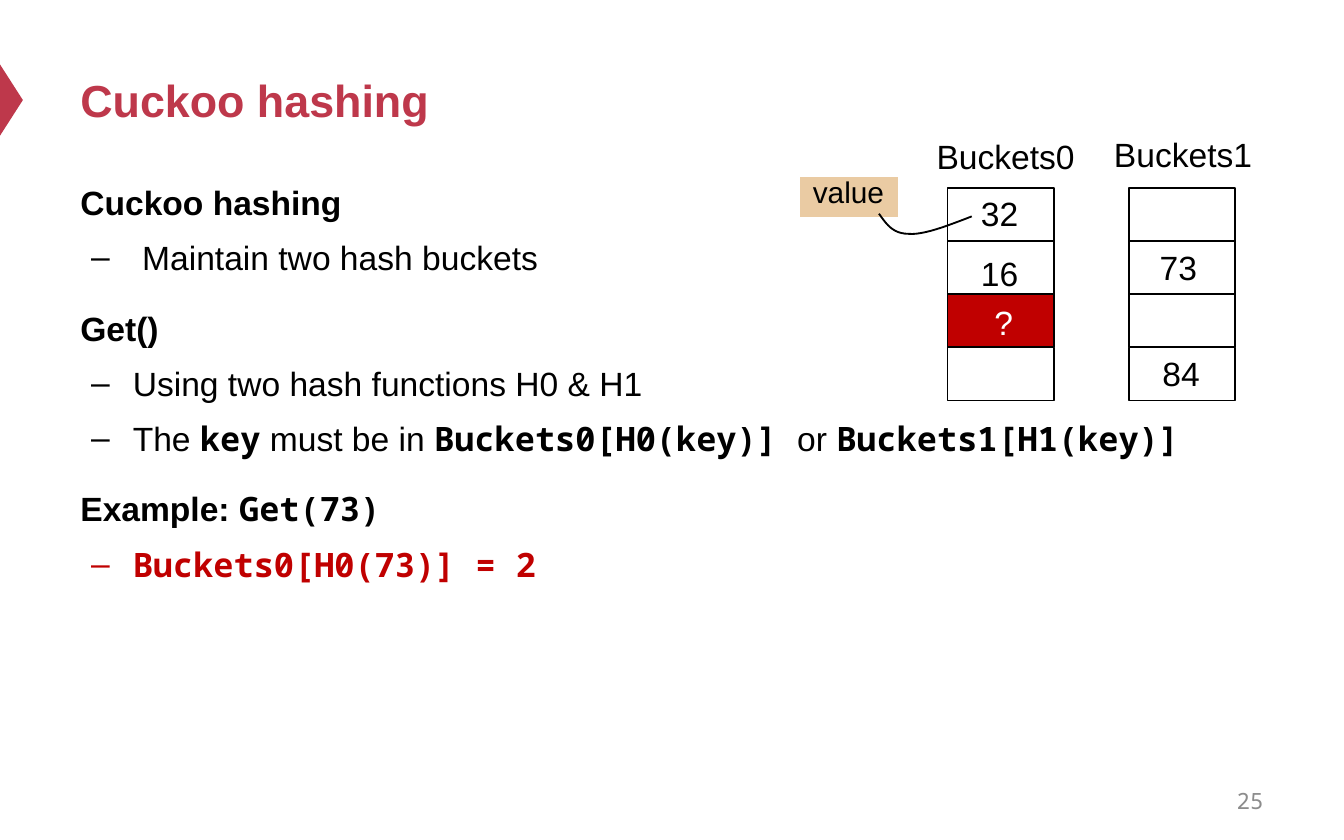
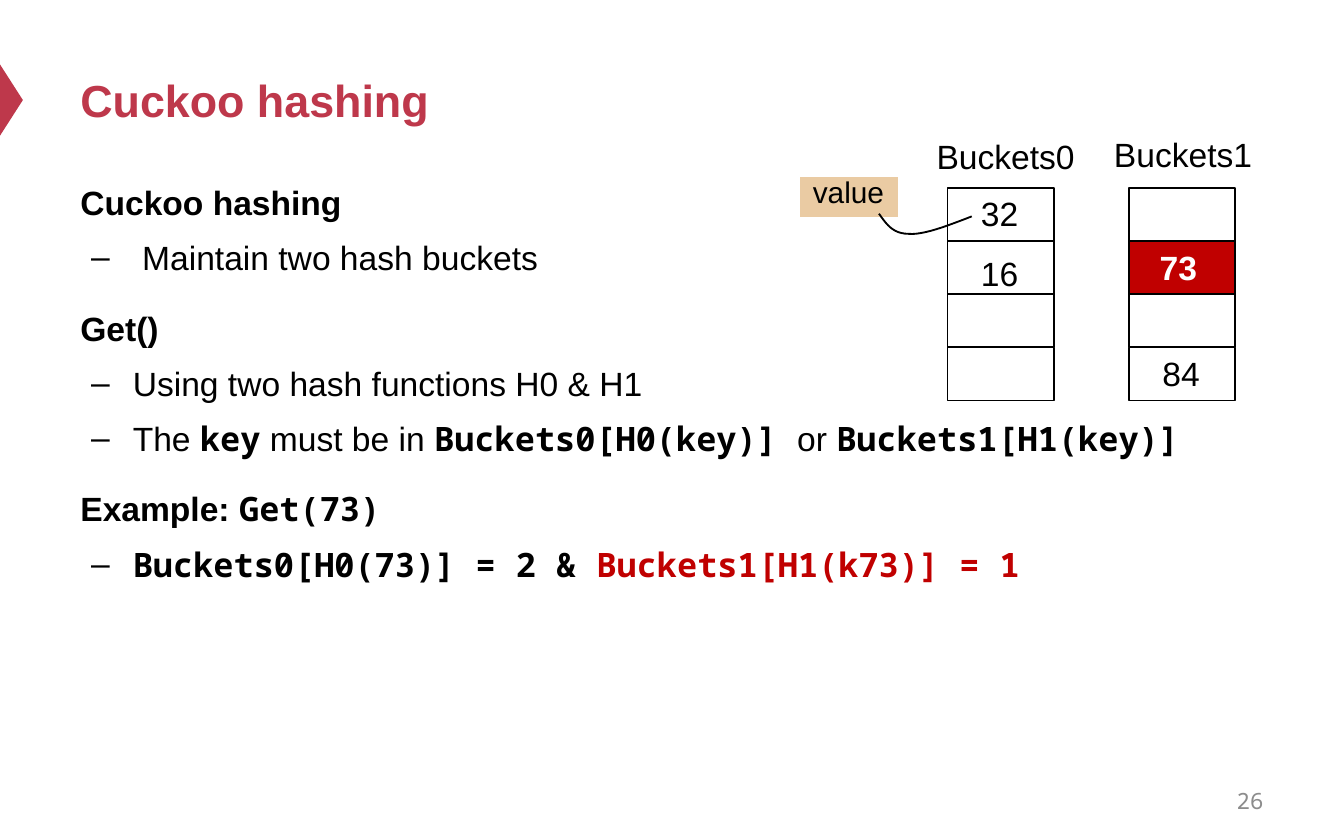
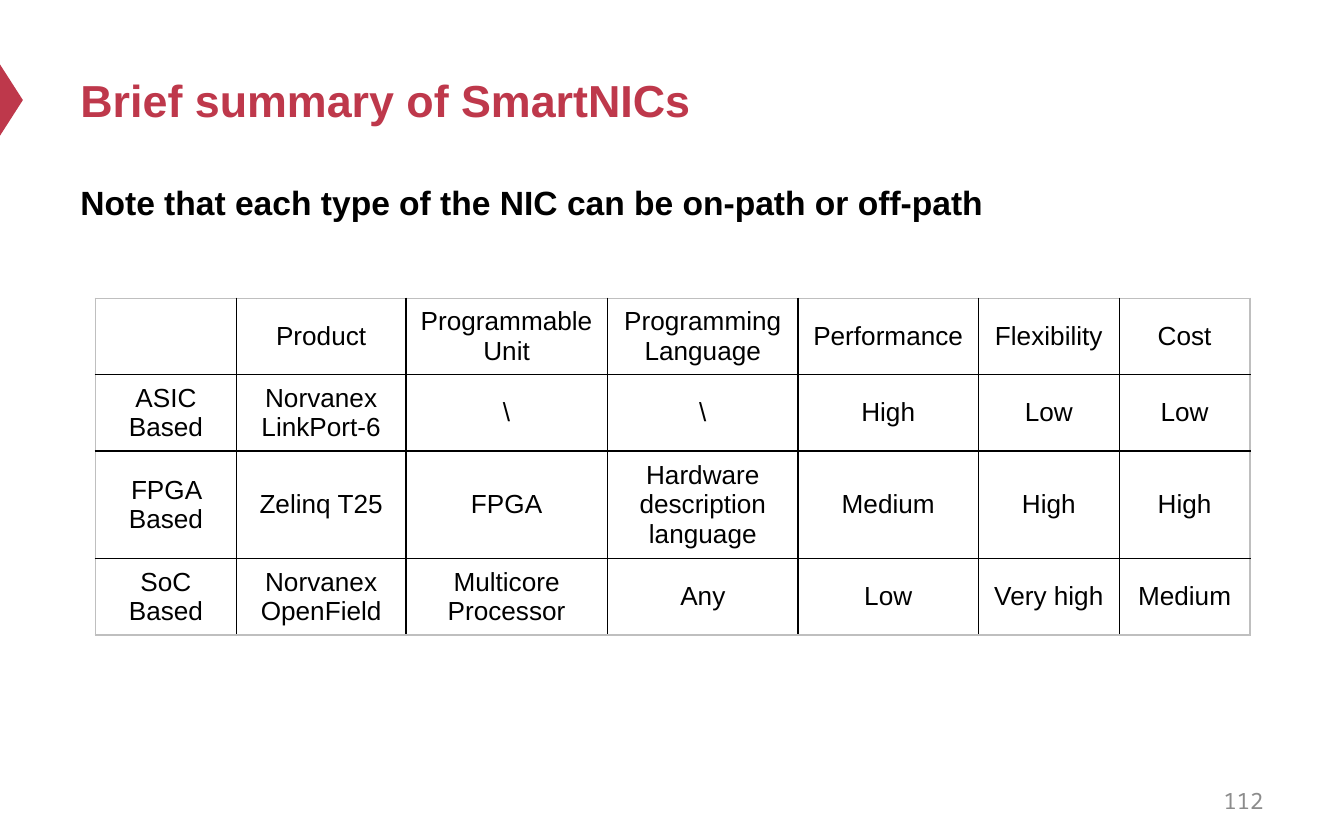
from lxml import etree
from pptx import Presentation
from pptx.dml.color import RGBColor
from pptx.enum import shapes, text
from pptx.oxml import ns
from pptx import util as u

COLORS = {
    "accent": "BE384B", "ink": "000000", "hot": "C00000", "paper": "FFFFFF",
    "tag": "EACBA3", "number": "8C8C8C", "edge": "BFBFBF",
}
SANS, MONO = "Arial", "Noto Sans Mono"
STYLES = {  # typeface, bold, colour
    "plain": (SANS, False, "ink"),
    "bold": (SANS, True, "ink"),
    "code": (MONO, True, "ink"),
    "hot": (MONO, True, "hot"),
    "title": (SANS, True, "accent"),
    "number": (MONO, False, "number"),
    "light": (SANS, False, "paper"),
    "light bold": (SANS, True, "paper"),
}


def set_font(font, style, size):
    name, bold, color = STYLES[style]
    font.name, font.bold, font.size = name, bold, u.Pt(size)
    font.color.rgb = RGBColor.from_string(COLORS[color])


def add_label(page, at, words, style="plain", size=18, wrap=False,
              align=text.PP_ALIGN.LEFT, anchor=text.MSO_ANCHOR.TOP):
    box = page.shapes.add_textbox(*map(u.Inches, at))
    box.text_frame.word_wrap = wrap
    box.text_frame.vertical_anchor = anchor
    para = box.text_frame.paragraphs[0]
    para.text = words
    para.alignment = align
    set_font(para.font, style, size)


# Slide contents: body lines are (level, spans)
hashing_lines = [
    (0, [("Cuckoo hashing", "bold")]),
    (1, [(" Maintain two hash buckets", "plain")]),
    (0, [("Get()", "bold")]),
    (1, [("Using two hash functions H0 & H1", "plain")]),
    (1, [("The ", "plain"), ("key", "code"), (" must be in ", "plain"),
         ("Buckets0[H0(key)] ", "code"), ("or ", "plain"), ("Buckets1[H1(key)]", "code")]),
    (0, [("Example: ", "bold"), ("Get(73)", "code")]),
]
first_lookup = (1, [("Buckets0[H0(73)] = 2", "hot")])
second_lookup = (1, [("Buckets0[H0(73)] = 2 & ", "code"), ("Buckets1[H1(k73)] = 1", "hot")])
nic_lines = [(0, [("Note that each type of the NIC can be on-path or off-path", "bold")])]

# title, page number, body height, body lines, highlighted (bucket, row)
slides = [
    ("Cuckoo hashing", "25", 4.12, hashing_lines + [first_lookup], (0, 2)),
    ("Cuckoo hashing", "26", 4.12, hashing_lines + [second_lookup], (1, 1)),
    ("Brief summary of SmartNICs", "112", 0.71, nic_lines, None),
]

deck = Presentation()
deck.slide_width, deck.slide_height = u.Inches(10), u.Inches(6.25)

for title, number, body_height, lines, highlight in slides:
    page = deck.slides.add_slide(deck.slide_layouts[6])

    # Marker, title and page number
    marker = page.shapes.add_shape(
        shapes.MSO_SHAPE.ISOSCELES_TRIANGLE, *map(u.Inches, (-0.18, 0.66, 0.53, 0.17)))
    marker.rotation = 90
    marker.shadow.inherit = False
    marker.fill.solid()
    marker.fill.fore_color.rgb = RGBColor.from_string(COLORS["accent"])
    marker.line.fill.background()
    add_label(page, (0.5, 0.25, 9, 0.98), title, "title", 24, True,
              anchor=text.MSO_ANCHOR.MIDDLE)
    add_label(page, (7.17, 5.79, 2.33, 0.33), number, "number", 12, True,
              text.PP_ALIGN.RIGHT, text.MSO_ANCHOR.MIDDLE)

    # Body text
    body = page.shapes.add_textbox(*map(u.Inches, (0.5, 1.24, 9, body_height)))
    frame = body.text_frame
    frame.word_wrap = True
    for index, (level, spans) in enumerate(lines):
        para = frame.add_paragraph() if index else frame.paragraphs[0]
        para.line_spacing = u.Pt(26)
        if index:
            para.space_before = u.Pt(3.5 if level else 12)
        if level:
            para.level = level
            props = para._p.get_or_add_pPr()
            props.set("marL", str(u.Inches(0.39)))
            props.set("indent", str(u.Inches(-0.31)))
            etree.SubElement(props, ns.qn("a:buFont")).set("typeface", SANS)
            etree.SubElement(props, ns.qn("a:buChar")).set("char", "–")
        base = spans[0][1]
        set_font(para.font, base, 18)
        for words, style in spans:
            span = para.add_run()
            span.text = words
            if style != base:
                set_font(span.font, style, 18)

    if highlight is None:
        continue

    # Two columns of buckets and the value tag
    cells = [((7.05 + 1.35 * bucket, 1.4 + 0.395 * row, 0.79, 0.395),
              "hot" if (bucket, row) == highlight else None, "ink", 1)
             for bucket in range(2) for row in range(4)]
    for at, fill, line, width in cells + [((5.94, 1.3, 0.76, 0.33), "tag", "paper", 2)]:
        cell = page.shapes.add_shape(shapes.MSO_SHAPE.RECTANGLE, *map(u.Inches, at))
        cell.shadow.inherit = False
        if fill:
            cell.fill.solid()
            cell.fill.fore_color.rgb = RGBColor.from_string(COLORS[fill])
        else:
            cell.fill.background()
        cell.line.color.rgb = RGBColor.from_string(COLORS[line])
        cell.line.width = u.Pt(width)

    # Bucket names and keys
    add_label(page, (6.87, 0.96, 1.31, 0.4), "Buckets0")
    add_label(page, (8.19, 0.95, 1.31, 0.4), "Buckets1")
    add_label(page, (5.95, 1.24, 0.74, 0.37), "value", size=16)
    add_label(page, (7.2, 1.39, 0.48, 0.4), "32")
    add_label(page, (7.2, 1.83, 0.48, 0.4), "16")
    add_label(page, (8.55, 2.58, 0.48, 0.4), "84")
    add_label(page, (8.53, 1.79, 0.48, 0.4), "73",
              "light bold" if highlight == (1, 1) else "plain")
    if highlight == (0, 2):
        add_label(page, (7.3, 2.2, 0.34, 0.4), "?", "light")

    # Curved line from key 32 to its value, two Bezier arcs
    arcs = [((7.23, 1.61), (7.05, 1.68), (6.87, 1.75), (6.76, 1.74)),
            ((6.76, 1.74), (6.64, 1.74), (6.59, 1.66), (6.54, 1.59))]
    points = []
    for arc in arcs:
        for step in range(1, 13):
            t = step / 12
            weights = ((1 - t) ** 3, 3 * t * (1 - t) ** 2, 3 * t ** 2 * (1 - t), t ** 3)
            points.append([u.Inches(sum(w * p[axis] for w, p in zip(weights, arc)))
                           for axis in range(2)])
    builder = page.shapes.build_freeform(*map(u.Inches, arcs[0][0]))
    builder.add_line_segments(points, close=False)
    curve = builder.convert_to_shape()
    curve.shadow.inherit = False
    curve.fill.background()
    curve.line.color.rgb = RGBColor.from_string(COLORS["ink"])
    curve.line.width = u.Pt(1)

# Table of NIC types on the last slide
nic_rows = [
    ["", "Product", "Programmable Unit", "Programming Language",
     "Performance", "Flexibility", "Cost"],
    ["ASIC Based", "Norvanex\nLinkPort-6", "\\", "\\", "High", "Low", "Low"],
    ["FPGA Based", "Zelinq T25", "FPGA", "Hardware description language",
     "Medium", "High", "High"],
    ["SoC Based", "Norvanex\nOpenField", "Multicore Processor", "Any",
     "Low", "Very high", "Medium"],
]
widths = [1.05, 1.26, 1.5, 1.42, 1.34, 1.05, 0.97]
heights = [0.54, 0.54, 0.76, 0.54]
table = page.shapes.add_table(
    len(heights), len(widths),
    *map(u.Inches, (0.71, 2.22, sum(widths), sum(heights)))).table
table.first_row = table.horz_banding = False
for column, width in zip(table.columns, widths):
    column.width = u.Inches(width)
for row, height in zip(table.rows, heights):
    row.height = u.Inches(height)
for r, words_row in enumerate(nic_rows):
    for c, words in enumerate(words_row):
        cell = table.cell(r, c)
        cell.text = words
        cell.vertical_anchor = text.MSO_ANCHOR.MIDDLE
        for para in cell.text_frame.paragraphs:
            para.alignment = text.PP_ALIGN.CENTER
            set_font(para.font, "plain", 14)
        outer = {"L": c == 0, "R": c == len(widths) - 1,
                 "T": r == 0, "B": r == len(heights) - 1}
        props = cell._tc.get_or_add_tcPr()
        for side, on_edge in outer.items():
            border = etree.SubElement(props, ns.qn("a:ln" + side), w=str(u.Pt(1)))
            paint = etree.SubElement(border, ns.qn("a:solidFill"))
            etree.SubElement(paint, ns.qn("a:srgbClr"),
                             val=COLORS["edge" if on_edge else "ink"])
        cell.fill.background()

deck.save("out.pptx")
